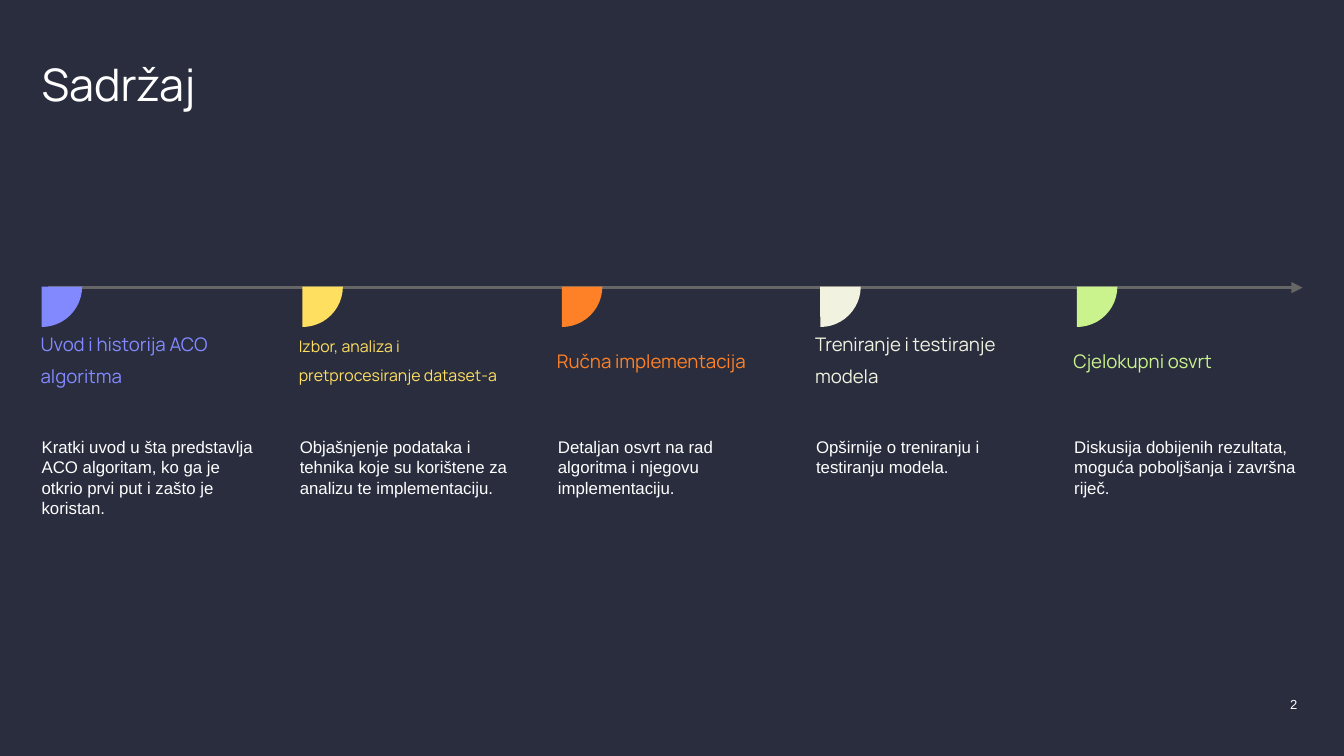
from lxml import etree
from pptx import Presentation
from pptx.dml.color import RGBColor
from pptx.enum.shapes import MSO_CONNECTOR, MSO_SHAPE
from pptx.enum.text import MSO_ANCHOR as ANCHOR, PP_ALIGN as ALIGN
from pptx.oxml.ns import qn
from pptx.util import Pt

COLORS = {
    "background": "292D3E", "text": "FFFFFF", "axis": "666666",
    "violet": "8289FF", "yellow": "FFDF5F", "orange": "FF8127",
    "ivory": "F1F2DF", "green": "CAF38D",
}
HEADING_FONT, BODY_FONT = "Manrope", "Arial"
TOPICS = [
    ("violet", 22.3, 10, 1.4, "Uvod i historija ACO algoritma",
     "Kratki uvod u šta predstavlja ACO algoritam, ko ga je otkrio prvi put i zašto je koristan."),
    ("yellow", 162, 8.5, 1.5, "Izbor, analiza i pretprocesiranje dataset-a",
     "Objašnjenje podataka i tehnika koje su korištene za analizu te implementaciju."),
    ("orange", 301, 10, 1.5, "Ručna implementacija",
     "Detaljan osvrt na rad algoritma i njegovu implementaciju."),
    ("ivory", 439.4, 10, 1.4, "Treniranje i testiranje modela",
     "Opširnije o treniranju i testiranju modela."),
    ("green", 576.9, 10, 1.5, "Cjelokupni osvrt",
     "Diskusija dobijenih rezultata, moguća poboljšanja i završna riječ."),
]


def rgb(name):
    """Return the named palette colour."""
    return RGBColor.from_string(COLORS[name])


def set_text(sp, text, size, font, color, right=0, anchor=ANCHOR.TOP):
    """Fill a shape with one formatted paragraph and return it."""
    tf = sp.text_frame
    tf.text = text
    tf.word_wrap = True
    tf.vertical_anchor = anchor
    tf.margin_left = tf.margin_top = tf.margin_bottom = 0
    tf.margin_right = Pt(right)
    p = tf.paragraphs[0]
    p.alignment = ALIGN.LEFT
    f = p.runs[0].font
    f.size, f.name, f.color.rgb = Pt(size), font, rgb(color)
    return p


def add_text(slide, box, *args, **kwargs):
    """Add a text box in the given box and return its paragraph."""
    sp = slide.shapes.add_textbox(*map(Pt, box))
    return set_text(sp, *args, **kwargs)


def add_title(slide, box, text):
    """Place and format the title placeholder."""
    sp = slide.shapes.title
    sp.left, sp.top, sp.width, sp.height = map(Pt, box)
    p = set_text(sp, text, 24, HEADING_FONT, "text", right=7.2)
    p.line_spacing = 0.9


def add_axis(slide, left, right, y):
    """Draw the timeline arrow."""
    line = slide.shapes.add_connector(
        MSO_CONNECTOR.STRAIGHT, Pt(left), Pt(y), Pt(right), Pt(y))
    line.line.color.rgb = rgb("axis")
    line.line.width = Pt(1.5)
    ln = line.line._get_or_add_ln()
    etree.SubElement(ln, qn("a:tailEnd"), type="triangle")
    etree.SubElement(line._element.spPr, qn("a:effectLst"))


def add_topic(slide, box, topic):
    """Draw one timeline topic: quarter-circle marker, heading and description."""
    color, marker_x, size, spacing, heading, description = topic
    left, top, width, height = box
    radius = 21.7
    sp = slide.shapes.add_shape(
        MSO_SHAPE.PIE, Pt(marker_x - radius), Pt(top - radius),
        Pt(2 * radius), Pt(2 * radius))
    sp.adjustments[0], sp.adjustments[1] = 0, 54
    sp.shadow.inherit = False
    sp.fill.solid()
    sp.fill.fore_color.rgb = rgb(color)
    sp.line.fill.background()
    p = add_text(slide, (left - 0.5, top + 25, width, 24), heading,
                 size, HEADING_FONT, color, anchor=ANCHOR.MIDDLE)
    p.line_spacing = spacing
    p = add_text(slide, (left, top + 80.5, width, height - 80.5), description,
                 9, BODY_FONT, "text")
    p.space_after = Pt(10)


def add_timeline(slide, box):
    """Lay the topics out in equal columns under the arrow."""
    left, top, width, height = box
    add_axis(slide, left + 3.6, left + width, top + 0.6)
    for i, topic in enumerate(TOPICS):
        add_topic(slide, (left + i * 138.3, top, 119, height), topic)


def add_page_number(slide, box, number):
    """Write the page number at the right of its box."""
    p = add_text(slide, box, number, 7, BODY_FONT, "text")
    p.alignment = ALIGN.RIGHT


def main():
    """Build and save the contents slide."""
    prs = Presentation()
    prs.slide_width, prs.slide_height = Pt(720), Pt(405)
    slide = prs.slides.add_slide(prs.slide_layouts[5])
    slide.background.fill.solid()
    slide.background.fill.fore_color.rgb = rgb("background")
    add_title(slide, (22.3, 33.8, 345, 34), "Sadržaj")
    add_timeline(slide, (22.3, 153.5, 675.5, 145.5))
    add_page_number(slide, (529, 373, 166, 15), "2")
    prs.save("out.pptx")


if __name__ == "__main__":
    main()
